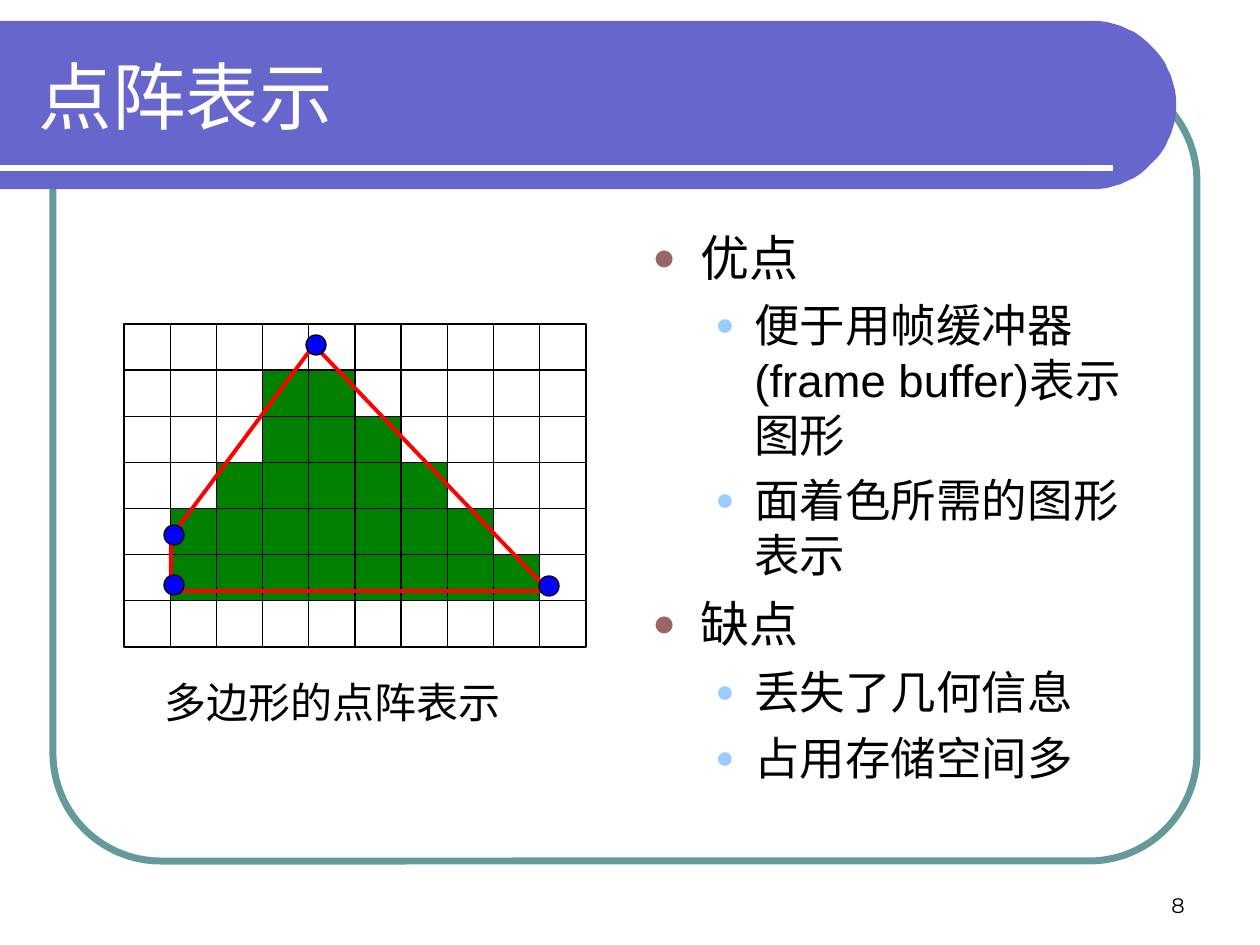
import math

import pptx
import pptx.dml.color
import pptx.enum.shapes
import pptx.enum.text
import pptx.oxml
import pptx.oxml.ns
import pptx.util

PX = 914400 / 126  # EMU in one px
SHAPE = pptx.enum.shapes.MSO_SHAPE
ALIGN = pptx.enum.text.PP_ALIGN
ANCHOR = pptx.enum.text.MSO_ANCHOR
COLORS = {
    "banner": "6666CC", "frame": "669999", "white": "FFFFFF", "black": "000000",
    "pixel": "008000", "edge": "FF0000", "vertex": "0000FF",
    "bullet1": "996666", "bullet2": "99CCFF",
}
# Bullet levels: left indent px, hanging px, space before, size, bullet colour, bullet %
LEVELS = [(48, 48, 7, 28, "bullet1", 80), (102, 39, 6.5, 26, "bullet2", 70)]
POINTS = [
    (0, "优点"),
    (1, "便于用帧缓冲器(frame buffer)表示图形"),
    (1, "面着色所需的图形表示"),
    (0, "缺点"),
    (1, "丢失了几何信息"),
    (1, "占用存储空间多"),
]
ROWS, COLS = 7, 10
FILLED = {1: (3, 4), 2: (3, 5), 3: (2, 6), 4: (1, 7), 5: (1, 8)}  # row: first, last column
POLYGON = [(190, 21), (47, 213), (47, 267), (425, 267)]
VERTICES = [(182, 11), (40, 201), (40, 251), (415, 252)]
DOT = 20


def emu(*lengths):
    return [round(n * PX) for n in lengths]


def rgb(name):
    return pptx.dml.color.RGBColor.from_string(COLORS[name])


def style(shape, fill, line, width=0.75):
    shape.shadow.inherit = False
    if fill:
        shape.fill.solid()
        shape.fill.fore_color.rgb = rgb(fill)
    else:
        shape.fill.background()
    if line:
        shape.line.color.rgb = rgb(line)
        shape.line.width = pptx.util.Pt(width)
    else:
        shape.line.fill.background()


def add_shape(s, kind, box, fill, line, width=0.75):
    shape = s.shapes.add_shape(kind, *emu(*box))
    style(shape, fill, line, width)
    return shape


def add_outline(s, points, fill, line, width=0.75):
    builder = s.shapes.build_freeform(*points[0], scale=PX)
    builder.add_line_segments(points[1:], close=True)
    style(builder.convert_to_shape(), fill, line, width)


def add_run(p, text, size, font, color):
    r = p.add_run()
    r.text = text
    r.font.size = pptx.util.Pt(size)
    r.font.name = font
    r.font.color.rgb = rgb(color)


def add_text_frame(s, box, anchor=ANCHOR.TOP):
    tf = s.shapes.add_textbox(*emu(*box)).text_frame
    tf.word_wrap = True
    tf.vertical_anchor = anchor
    return tf


def add_frame(s, box):
    shape = add_shape(s, SHAPE.ROUNDED_RECTANGLE, box, None, "frame", 4)
    shape.adjustments[0] = 0.137


def add_banner(s, box, title):
    x, y, w, h = box
    # Bar with a half-round right end
    radius = h / 2
    angles = [math.radians(a) for a in range(-90, 91, 5)]
    arc = [(x + w - radius + radius * math.cos(a), y + radius + radius * math.sin(a))
           for a in angles]
    add_outline(s, [(x, y), *arc, (x, y + h)], "banner", None)

    # Rule under the title
    rule = s.shapes.add_connector(pptx.enum.shapes.MSO_CONNECTOR.STRAIGHT,
                                  *emu(x, y + 147, x + w - 63, y + 147))
    rule.line.color.rgb = rgb("white")
    rule.line.width = pptx.util.Pt(3)
    rule._element.spPr.append(pptx.oxml.parse_xml(
        f"<a:effectLst {pptx.oxml.ns.nsdecls('a')}/>"))

    # Title placeholder, brought in front of the bar
    sp = s.shapes.title
    sp.left, sp.top, sp.width, sp.height = emu(x + 26, y + 11, 1105, 126)
    sp.element.getparent().append(sp.element)
    tf = sp.text_frame
    tf.auto_size = pptx.enum.text.MSO_AUTO_SIZE.NONE
    tf.vertical_anchor = ANCHOR.MIDDLE
    p = tf.paragraphs[0]
    p.alignment = ALIGN.LEFT
    add_run(p, title, 42, "Arial", "white")


def set_bullet(p, indent, hanging, color, percent):
    pPr = p._p.get_or_add_pPr()
    left, hang = emu(indent, hanging)
    pPr.set("marL", str(left))
    pPr.set("indent", str(-hang))
    ns = pptx.oxml.ns.nsdecls("a")
    for xml in (f'<a:buClr {ns}><a:srgbClr val="{COLORS[color]}"/></a:buClr>',
                f'<a:buSzPct {ns} val="{percent * 1000}"/>',
                f'<a:buFont {ns} typeface="Arial"/>',
                f'<a:buChar {ns} char="●"/>'):
        pPr.append(pptx.oxml.parse_xml(xml))


def add_points(s, box):
    tf = add_text_frame(s, box)
    for i, (level, text) in enumerate(POINTS):
        indent, hanging, before, size, color, percent = LEVELS[level]
        p = tf.add_paragraph() if i else tf.paragraphs[0]
        p.level = level
        set_bullet(p, indent, hanging, color, percent)
        if i:
            p.space_before = pptx.util.Pt(before)
        add_run(p, text, size, "Arial", "black")


def add_raster(s, box):
    x, y, w, h = box
    cell_w, cell_h = w / COLS, h / ROWS
    # Pixel grid
    for col in range(COLS):
        for row in range(ROWS):
            first, last = FILLED.get(row, (COLS, COLS))
            fill = "pixel" if first <= col <= last else None
            cell = (x + col * cell_w, y + row * cell_h, cell_w, cell_h)
            add_shape(s, SHAPE.RECTANGLE, cell, fill, "black")
    # Polygon and its vertices
    add_outline(s, [(x + dx, y + dy) for dx, dy in POLYGON], None, "edge", 2.25)
    for dx, dy in VERTICES:
        add_shape(s, SHAPE.OVAL, (x + dx, y + dy, DOT, DOT), "vertex", "black")


def add_label(s, box, text, size, font, align, anchor=ANCHOR.TOP):
    p = add_text_frame(s, box, anchor).paragraphs[0]
    p.alignment = align
    add_run(p, text, size, font, "black")


def main():
    prs = pptx.Presentation()
    prs.slide_width, prs.slide_height = emu(1260, 945)
    s = prs.slides.add_slide(prs.slide_layouts[5])

    add_frame(s, (53, 73, 1144, 788))
    add_banner(s, (0, 21, 1176, 168), "点阵表示")
    add_points(s, (640, 221, 536, 609))
    add_raster(s, (124, 324, 462, 323))
    add_label(s, (134, 670, 397, 63), "多边形的点阵表示", 24,
              "Times New Roman", ALIGN.CENTER)
    add_label(s, (903, 861, 294, 63), "8", 12, "Montserrat", ALIGN.RIGHT, ANCHOR.BOTTOM)

    prs.save("out.pptx")


if __name__ == "__main__":
    main()
